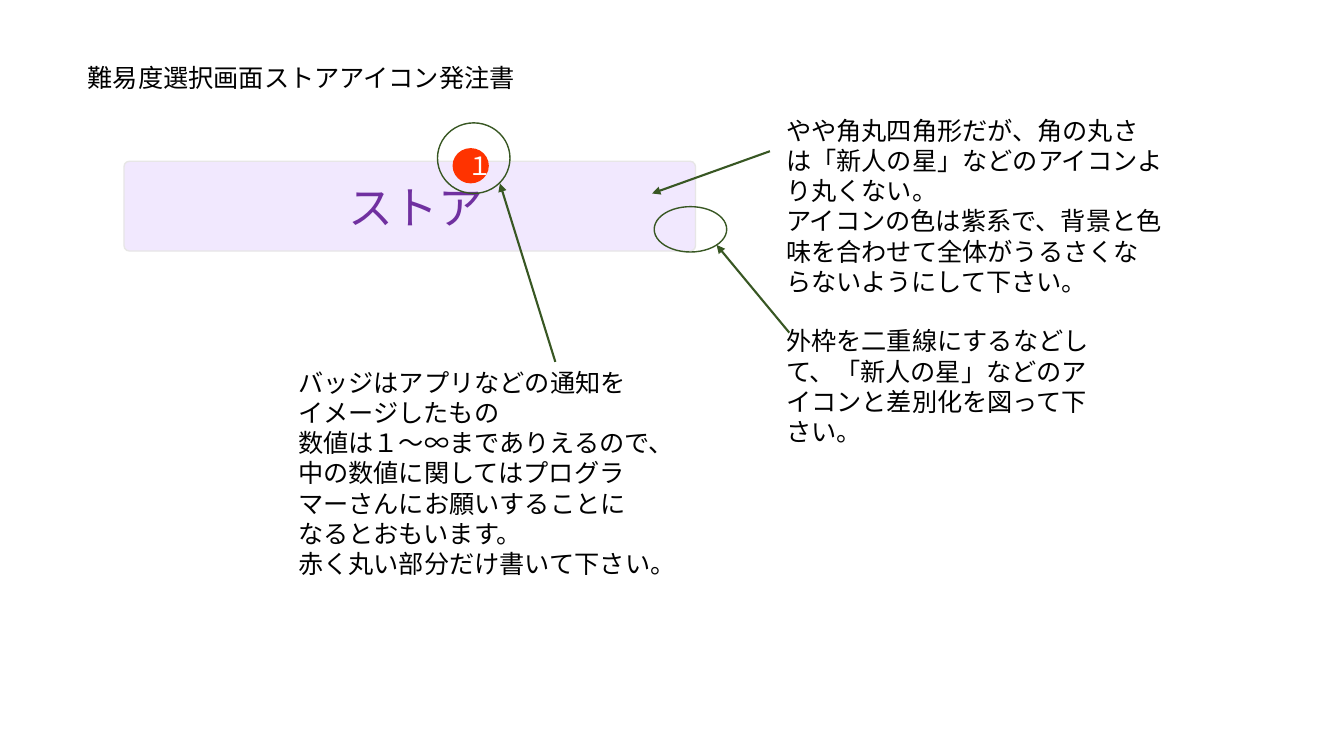
from pptx import Presentation
from pptx.dml.color import RGBColor
from pptx.enum.shapes import MSO_CONNECTOR, MSO_SHAPE
from pptx.enum.text import MSO_ANCHOR, MSO_AUTO_SIZE, PP_ALIGN
from pptx.oxml.ns import qn
from pptx.util import Pt
from lxml import etree

STRAIGHT = MSO_CONNECTOR.STRAIGHT
ROUNDED = MSO_SHAPE.ROUNDED_RECTANGLE
OVAL = MSO_SHAPE.OVAL
TOP, MIDDLE = MSO_ANCHOR.TOP, MSO_ANCHOR.MIDDLE
FIT_SHAPE, NO_FIT = MSO_AUTO_SIZE.SHAPE_TO_FIT_TEXT, MSO_AUTO_SIZE.NONE
LEFT, CENTER = PP_ALIGN.LEFT, PP_ALIGN.CENTER
TITLE_ONLY = 5


def color(value):
    return RGBColor.from_string(value)


class OrderSheet:
    body_font = "Calibri"
    body_size = 18
    ink = "000000"
    marker = "385723"

    def __init__(self, deck):
        self.page = deck.slides.add_slide(deck.slide_layouts[TITLE_ONLY])

    def fill_text(self, box, lines, size=body_size, font=body_font, ink=ink,
                  align=LEFT, anchor=TOP, fit=FIT_SHAPE):
        frame = box.text_frame
        frame.word_wrap = True
        frame.auto_size = fit
        frame.vertical_anchor = anchor
        frame.text = "\n".join(lines)
        for para in frame.paragraphs:
            para.alignment = align
            para.font.size = Pt(size)
            para.font.name = font
            para.font.color.rgb = color(ink)

    def title(self, text, left, top, width, height):
        box = self.page.shapes.title
        box.left, box.top = Pt(left), Pt(top)
        box.width, box.height = Pt(width), Pt(height)
        self.fill_text(box, [text], fit=NO_FIT)

    def text(self, lines, left, top, width, height, **style):
        box = self.page.shapes.add_textbox(Pt(left), Pt(top), Pt(width), Pt(height))
        self.fill_text(box, lines, **style)

    def shape(self, kind, left, top, width, height, fill=None, line=None):
        box = self.page.shapes.add_shape(kind, Pt(left), Pt(top), Pt(width), Pt(height))
        box.shadow.inherit = False
        if fill:
            box.fill.solid()
            box.fill.fore_color.rgb = color(fill)
        else:
            box.fill.background()
        if line:
            box.line.color.rgb = color(line)
            box.line.width = Pt(1)
        else:
            box.line.fill.background()
        return box

    def ring(self, left, top, width, height):
        self.shape(OVAL, left, top, width, height, line=self.marker)

    def arrow(self, start_x, start_y, end_x, end_y):
        arrow = self.page.shapes.add_connector(
            STRAIGHT, Pt(start_x), Pt(start_y), Pt(end_x), Pt(end_y))
        arrow.line.color.rgb = color(self.marker)
        arrow.line.width = Pt(1.5)
        properties = arrow.element.spPr
        etree.SubElement(properties.find(qn("a:ln")), qn("a:tailEnd"), type="triangle")
        etree.SubElement(properties, qn("a:effectLst"))


def main():
    deck = Presentation()
    deck.slide_width, deck.slide_height = Pt(960), Pt(540)
    sheet = OrderSheet(deck)

    sheet.title("難易度選択画面ストアアイコン発注書", 55.4, 41, 345.6, 29)

    button = sheet.shape(ROUNDED, 88.6, 115.2, 408.2, 64.1, "F1E8FE", "E7E6E6")
    button.adjustments[0] = 0.06
    sheet.arrow(550, 108, 465.8, 138.2)
    sheet.text(["やや角丸四角形だが、角の丸さは「新人の星」などのアイコンより丸くない。",
                "アイコンの色は紫系で、背景と色味を合わせて全体がうるさくならないようにして下さい。"],
               554.4, 78.5, 283, 138.2)
    sheet.text(["ストア"], 241.9, 124.6, 158.4, 46, size=32, font="Roboto", ink="7030A0")

    badge = sheet.shape(OVAL, 323.3, 105.8, 25.9, 25.2, "FF3300")
    sheet.fill_text(badge, ["１"], font="Noto Sans CJK JP", ink="FFFFFF",
                    align=CENTER, anchor=MIDDLE, fit=NO_FIT)
    sheet.ring(312.5, 87.8, 51.8, 50.4)
    sheet.arrow(396.7, 258.5, 357.1, 131)
    sheet.text(["バッジはアプリなどの通知をイメージしたもの",
                "数値は１～∞までありえるので、中の数値に関してはプログラマーさんにお願いすることになるとおもいます。",
                "赤く丸い部分だけ書いて下さい。"],
               205.9, 258.5, 265.7, 159.8)

    sheet.ring(467.3, 147.6, 51.8, 32.4)
    sheet.arrow(563.8, 237.6, 511.9, 175)
    sheet.text(["外枠を二重線にするなどして、「新人の星」などのアイコンと差別化を図って下さい。"],
               554.4, 229, 235.4, 72.7)

    deck.save("out.pptx")


if __name__ == "__main__":
    main()
